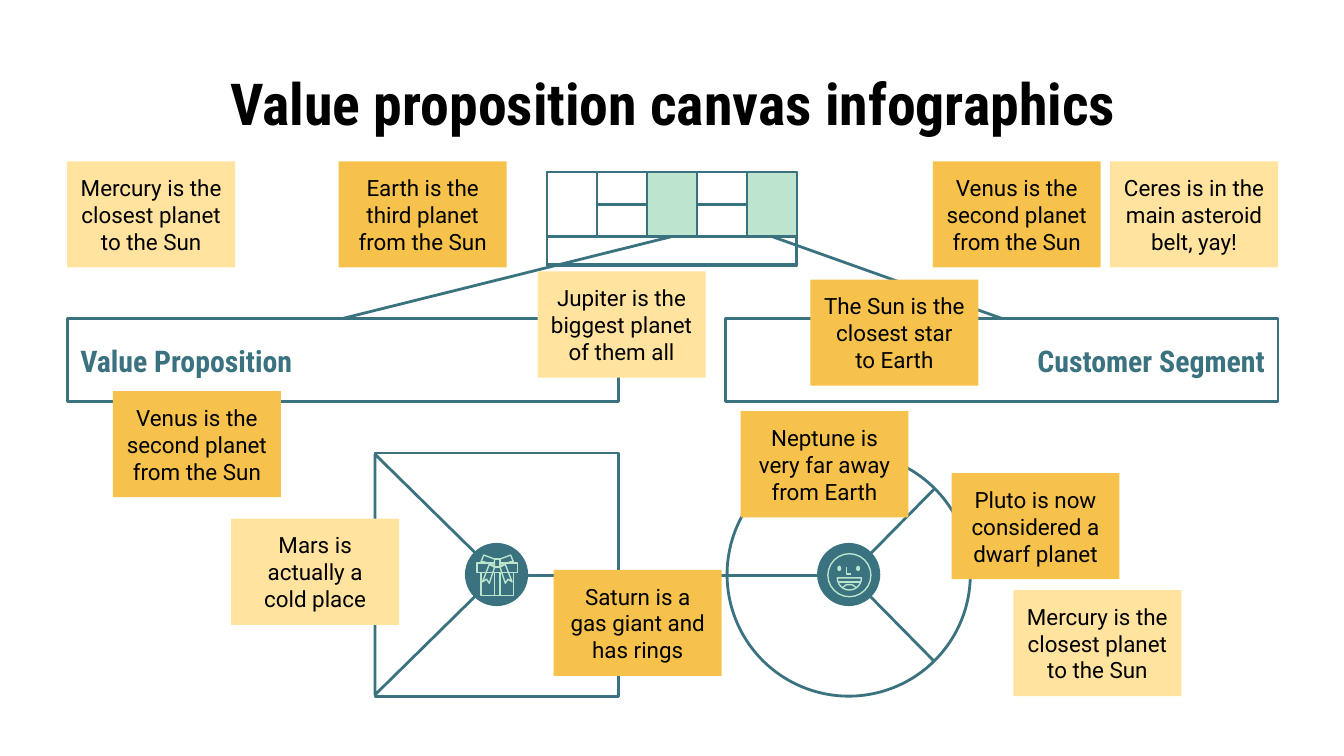
from dataclasses import dataclass
from math import cos, pi, sin

from lxml.etree import SubElement
from pptx import Presentation
from pptx.dml.color import RGBColor
from pptx.enum.shapes import MSO_CONNECTOR, MSO_SHAPE
from pptx.enum.text import MSO_ANCHOR, MSO_AUTO_SIZE, PP_ALIGN
from pptx.oxml.ns import qn
from pptx.util import Inches, Pt


@dataclass(frozen=True)
class Theme:
    teal: str = "3A727F"
    mint: str = "BDE5CD"
    amber: str = "F7C24B"
    cream: str = "FFE39F"
    black: str = "000000"
    body_font: str = "Roboto"
    heading_font: str = "Roboto Condensed"
    title_size: int = 31
    heading_size: int = 16
    note_size: int = 12
    line_width: float = 1.5
    icon_width: float = 0.75


THEME = Theme()
NOTE_SIZE = (1.25, 0.79)
TOP_ROW = 1.2
CENTRE_Y = 4.28
GIFT_X, FACE_X = 3.7, 6.32

NOTES = [
    (2.52, TOP_ROW, THEME.amber, "Earth is the third planet from the Sun"),
    (8.26, TOP_ROW, THEME.cream, "Ceres is in the main asteroid belt, yay!"),
    (0.5, TOP_ROW, THEME.cream, "Mercury is the closest planet to the Sun"),
    (6.94, TOP_ROW, THEME.amber, "Venus is the second planet from the Sun"),
    (4, 2.02, THEME.cream, "Jupiter is the biggest planet of them all"),
    (6.03, 2.08, THEME.amber, "The Sun is the closest star to Earth"),
    (7.08, 3.52, THEME.amber, "Pluto is now considered a dwarf planet"),
    (5.51, 3.06, THEME.amber, "Neptune is very far away from Earth"),
    (1.72, 3.86, THEME.cream, "Mars is actually a cold place"),
    (0.84, 2.91, THEME.amber, "Venus is the second planet from the Sun"),
    (4.12, 4.24, THEME.amber, "Saturn is a gas giant and has rings"),
    (7.54, 4.39, THEME.cream, "Mercury is the closest planet to the Sun"),
]


def paint(shape, fill, line, width):
    shape.shadow.inherit = False
    if fill:
        shape.fill.solid()
        shape.fill.fore_color.rgb = RGBColor.from_string(fill)
    else:
        shape.fill.background()
    if line:
        shape.line.color.rgb = RGBColor.from_string(line)
        shape.line.width = Pt(width)
    else:
        shape.line.fill.background()


def add_figure(slide, kind, box, fill=None, line=None, width=THEME.line_width):
    figure = slide.shapes.add_shape(kind, *map(Inches, box))
    paint(figure, fill, line, width)
    return figure


def add_outline(slide, points, closed=True):
    """Draw a thin mint icon stroke through points given in inches."""
    start, *rest = [(Inches(x), Inches(y)) for x, y in points]
    builder = slide.shapes.build_freeform(*start)
    builder.add_line_segments(rest, close=closed)
    paint(builder.convert_to_shape(), None, THEME.mint, THEME.icon_width)


def add_line(slide, start, end):
    line = slide.shapes.add_connector(
        MSO_CONNECTOR.STRAIGHT, *map(Inches, (*start, *end)))
    line.line.color.rgb = RGBColor.from_string(THEME.teal)
    line.line.width = Pt(THEME.line_width)
    SubElement(line._element.spPr, qn("a:effectLst"))
    return line


def write(shape, text, size, font, color, align, bold=False):
    frame = shape.text_frame
    frame.text = text
    frame.word_wrap = True
    frame.auto_size = MSO_AUTO_SIZE.NONE
    frame.vertical_anchor = MSO_ANCHOR.MIDDLE
    frame.margin_left = frame.margin_right = Inches(0.1)
    frame.margin_top = frame.margin_bottom = Inches(0.1)
    paragraph = frame.paragraphs[0]
    paragraph.alignment = align
    run_font = paragraph.runs[0].font
    run_font.name, run_font.size, run_font.bold = font, Pt(size), bold
    run_font.color.rgb = RGBColor.from_string(color)


def add_title(slide, text):
    title = slide.shapes.title
    title.left, title.top, title.width, title.height = map(
        Inches, (0.5, 0.45, 9.01, 0.62))
    write(title, text, THEME.title_size, THEME.heading_font, THEME.black,
          PP_ALIGN.CENTER, bold=True)


def add_note(slide, left, top, color, text):
    note = add_figure(slide, MSO_SHAPE.RECTANGLE, (left, top, *NOTE_SIZE), color)
    write(note, text, THEME.note_size, THEME.body_font, THEME.black,
          PP_ALIGN.CENTER)


def add_banner(slide, left, width, label_left, label, align):
    banner = add_figure(slide, MSO_SHAPE.RECTANGLE, (left, 2.37, width, 0.62),
                        line=THEME.teal)
    heading = slide.shapes.add_textbox(
        *map(Inches, (label_left, 2.44, 2.43, 0.48)))
    write(heading, label, THEME.heading_size, THEME.heading_font, THEME.teal,
          align, bold=True)
    return banner


def add_mini_canvas(slide):
    """Draw the small business canvas and return its two highlighted cells."""
    left, top, width, cell_height = 4.07, 1.28, 1.86, 0.48
    cell_width = width / 5
    frames = [(left, top, width, 0.7), (left, 1.76, width, 0.21)]
    for box in frames:
        add_figure(slide, MSO_SHAPE.RECTANGLE, box, line=THEME.teal)
    highlighted = []
    for column in range(5):
        x = left + column * cell_width
        fill = THEME.mint if column in (2, 4) else None
        cell = add_figure(slide, MSO_SHAPE.RECTANGLE,
                          (x, top, cell_width, cell_height), fill, THEME.teal)
        if fill:
            highlighted.append(cell)
        if column in (1, 3):
            half = cell_height / 2
            add_figure(slide, MSO_SHAPE.RECTANGLE,
                       (x, top + half, cell_width, half), line=THEME.teal)
    return highlighted


def link_cell(slide, cell, banner):
    link = add_line(slide, (0, 0), (1, 1))
    link.begin_connect(cell, 2)
    link.end_connect(banner, 0)


def add_value_map(slide):
    add_figure(slide, MSO_SHAPE.OVAL, (5.41, 3.37, 1.81, 1.81), line=THEME.teal)
    add_figure(slide, MSO_SHAPE.RECTANGLE, (2.79, 3.37, 1.81, 1.81),
               line=THEME.teal)
    add_line(slide, (GIFT_X, CENTRE_Y), (FACE_X, CENTRE_Y))
    wedge = add_figure(slide, MSO_SHAPE.ISOSCELES_TRIANGLE,
                       (2.35, 3.82, 1.79, 0.91), line=THEME.teal)
    wedge.rotation = 90
    for y in (3.64, 4.92):
        add_line(slide, (FACE_X, CENTRE_Y), (6.95, y))
    for x in (GIFT_X, FACE_X):
        add_figure(slide, MSO_SHAPE.OVAL, (x - 0.24, 4.04, 0.47, 0.47),
                   THEME.teal)


def add_gift_icon(slide):
    parts = [(3.58, 4.26, 0.24, 0.17), (3.68, 4.26, 0.04, 0.17),
             (3.55, 4.19, 0.3, 0.07), (3.68, 4.16, 0.04, 0.06)]
    tail = [(0.06, 4.2), (0.11, 4.33), (0.08, 4.31), (0.06, 4.34), (0.02, 4.22)]
    loop = [(0.02, 4.16), (0.1, 4.13), (0.12, 4.18), (0.1, 4.18), (0.02, 4.21)]
    for box in parts:
        add_figure(slide, MSO_SHAPE.RECTANGLE, box, THEME.teal, THEME.mint,
                   THEME.icon_width)
    for side in (-1, 1):
        for curve in (tail, loop):
            add_outline(slide, [(GIFT_X + side * x, y) for x, y in curve])


def add_face_icon(slide):
    add_figure(slide, MSO_SHAPE.OVAL, (6.16, 4.12, 0.32, 0.32),
               line=THEME.mint, width=THEME.icon_width)
    for x in (6.23, 6.37):
        add_figure(slide, MSO_SHAPE.OVAL, (x, 4.21, 0.03, 0.04), THEME.mint)
    add_outline(slide, [(6.3, 4.22), (6.3, 4.27), (6.33, 4.27)], closed=False)
    mouth = [(FACE_X + 0.09 * cos(step * pi / 12),
              4.3 + 0.09 * sin(step * pi / 12)) for step in range(13)]
    add_outline(slide, mouth)
    add_outline(slide, [(6.24, 4.33), (6.4, 4.33)], closed=False)
    add_outline(slide, [(6.27, 4.37), (6.3, 4.35), (6.34, 4.35), (6.37, 4.37)],
                closed=False)


def main():
    deck = Presentation()
    deck.slide_width = Inches(10)
    deck.slide_height = deck.slide_width * 9 // 16
    slide = deck.slides.add_slide(deck.slide_layouts[5])
    add_title(slide, "Value proposition canvas infographics")
    add_value_map(slide)
    add_gift_icon(slide)
    add_face_icon(slide)
    banners = [
        add_banner(slide, 0.5, 4.1, 0.5, "Value Proposition", PP_ALIGN.LEFT),
        add_banner(slide, 5.4, 4.11, 7.08, "Customer Segment", PP_ALIGN.RIGHT),
    ]
    for cell, banner in zip(add_mini_canvas(slide), banners):
        link_cell(slide, cell, banner)
    for note in NOTES:
        add_note(slide, *note)
    deck.save("out.pptx")


if __name__ == "__main__":
    main()
